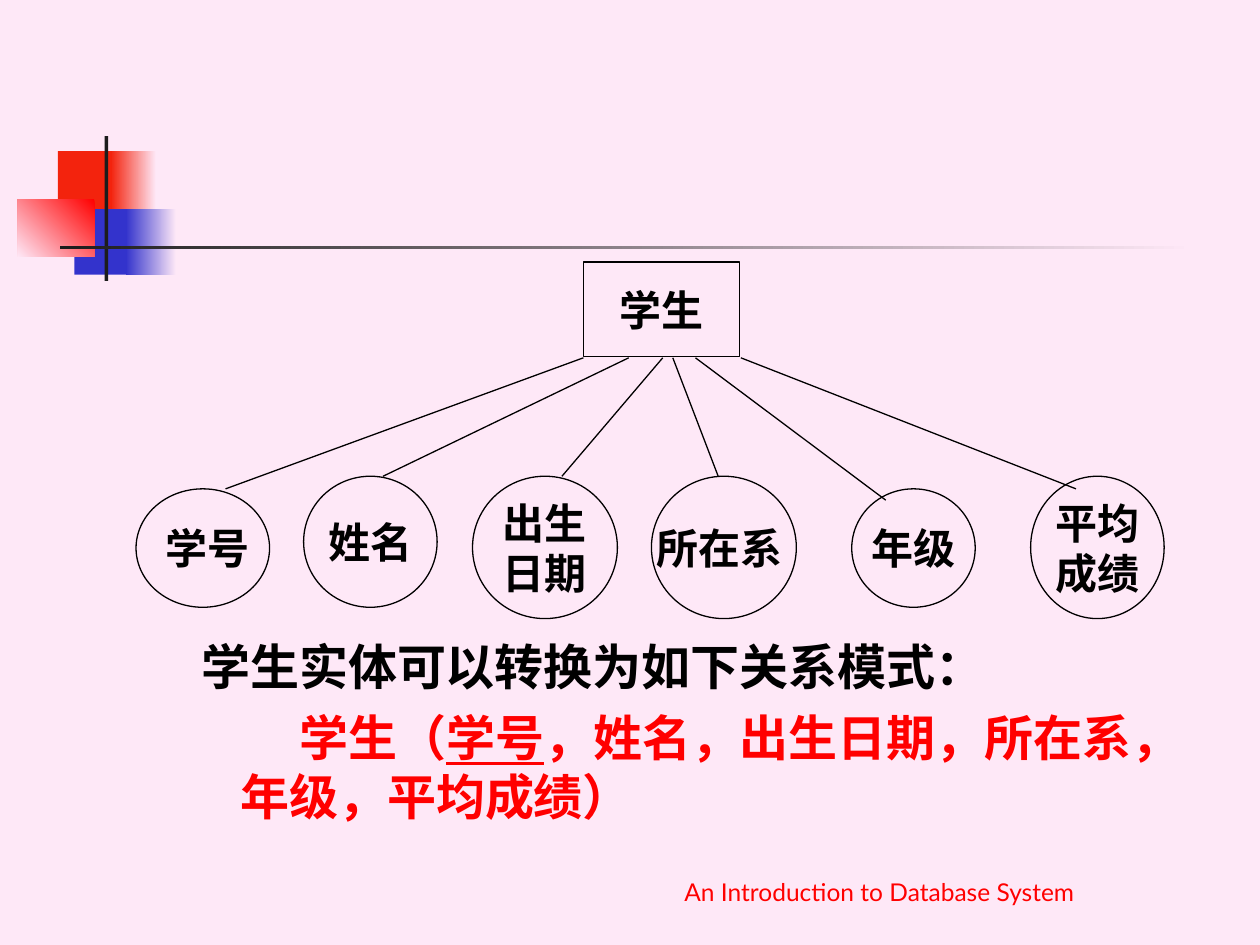
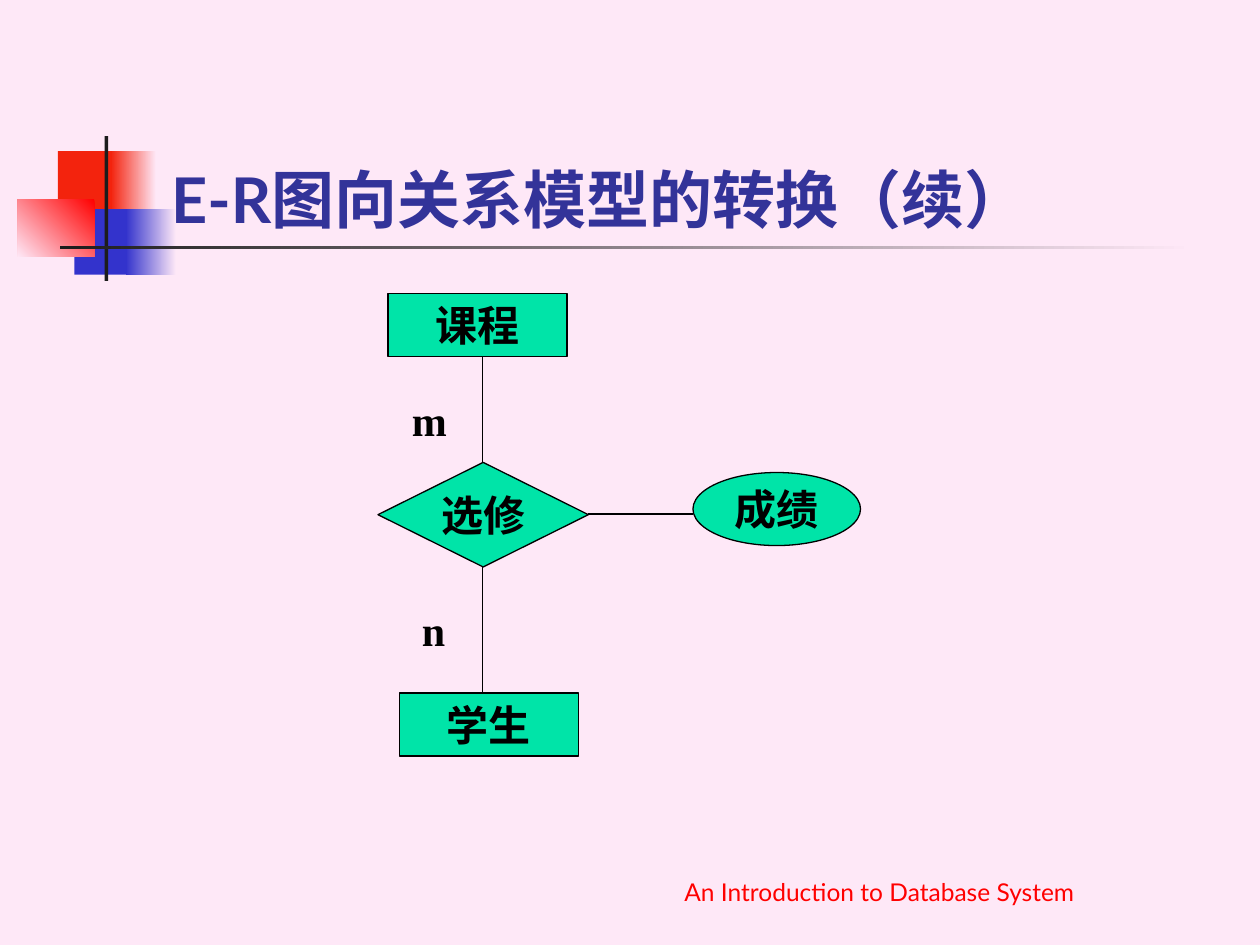
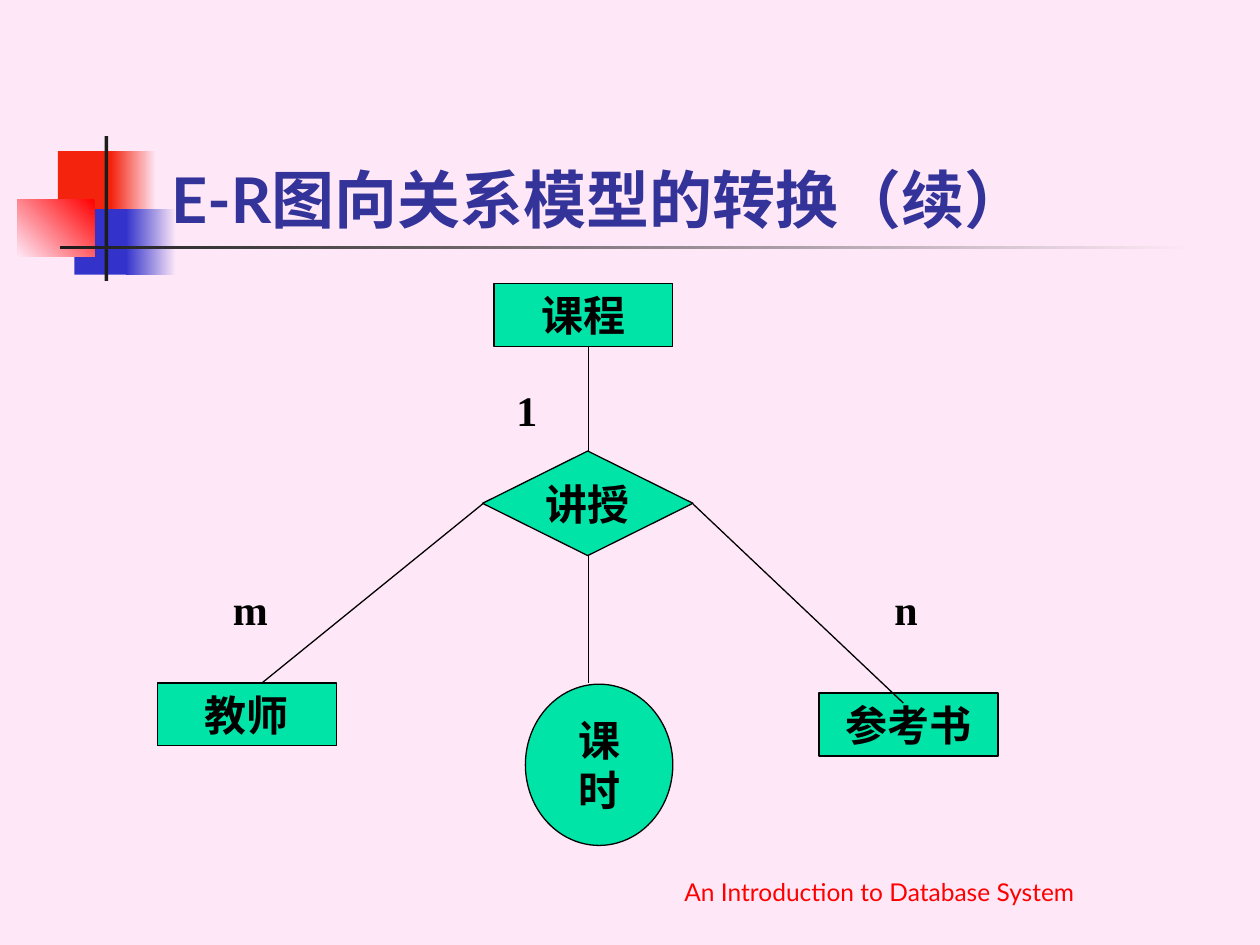
from lxml.etree import SubElement
from pptx import Presentation
from pptx.dml.color import RGBColor
from pptx.enum.shapes import MSO_CONNECTOR, MSO_SHAPE
from pptx.enum.text import MSO_ANCHOR, PP_ALIGN
from pptx.oxml.ns import qn
from pptx.util import Inches, Pt

HUE = {"page": "FEE8F7", "flame": "F3230D", "blue": "3333CC", "red": "FF0000",
       "dark": "1C1C1C", "title": "333399", "node": "00E4A8", "ink": "000000"}
SANS, SERIF = "Lato", "Times New Roman"
RECT, OVAL, GEM = MSO_SHAPE.RECTANGLE, MSO_SHAPE.OVAL, MSO_SHAPE.DIAMOND
BLOCK = (1.42, 0.5)
DIAMOND = (1.67, 0.83)
TAG = (0.42, 0.5)


def rgb(name):
    return RGBColor.from_string(HUE[name])


def shift(box, at):
    """Turn a place inside a box into a place on the slide."""
    return (box[0] + at[0], box[1] + at[1], *at[2:])


def add_run(para, text, size, font, hue="ink", bold=True, under=False):
    run = para.add_run()
    run.text = text
    face = run.font
    face.size, face.name, face.bold = Pt(size), font, bold
    face.color.rgb = rgb(hue)
    if under:
        face.underline = True


def add_box(slide, box, anchor=MSO_ANCHOR.TOP):
    """Add a wrapping text box and return its frame."""
    frame = slide.shapes.add_textbox(*map(Inches, box)).text_frame
    frame.word_wrap = True
    frame.vertical_anchor = anchor
    return frame


def add_form(slide, kind, box):
    form = slide.shapes.add_shape(kind, *map(Inches, box))
    form.shadow.inherit = False
    return form


def add_node(slide, kind, box, lines, fill=None, wrap=False):
    node = add_form(slide, kind, box)
    if fill:
        node.fill.solid()
        node.fill.fore_color.rgb = rgb(fill)
    else:
        node.fill.background()
    node.line.color.rgb = rgb("ink")
    node.line.width = Pt(0.75)
    frame = node.text_frame
    frame.word_wrap = wrap
    frame.vertical_anchor = MSO_ANCHOR.MIDDLE
    for i, text in enumerate(lines):
        para = frame.add_paragraph() if i else frame.paragraphs[0]
        para.alignment = PP_ALIGN.CENTER
        add_run(para, text, 24, SERIF)


def add_line(slide, start, end):
    line = slide.shapes.add_connector(
        MSO_CONNECTOR.STRAIGHT, *map(Inches, (*start, *end)))
    line.line.color.rgb = rgb("ink")
    line.line.width = Pt(0.75)
    SubElement(line._element.spPr, qn("a:effectLst"))


def add_band(slide, box):
    """Draw the coloured squares and the crossing bars."""
    parts = [
        ((0.32, 0.12, 0.48, 0.52), ["flame"], 0),
        ((0.74, 0.12, 0.36, 0.52), ["page", "flame"], 180),
        ((0.45, 0.58, 0.46, 0.52), ["blue"], 0),
        ((0.86, 0.58, 0.4, 0.52), ["page", "blue"], 180),
        ((0, 0.5, 0.61, 0.46), ["red", "page"], 225),
        ((0.69, 0, 0.03, 1.15), ["dark"], 0),
        ((0.34, 0.87, 9, 0.03), ["page", "dark"], 180),
    ]
    for at, hues, angle in parts:
        form = add_form(slide, RECT, shift(box, at))
        form.line.fill.background()
        if len(hues) == 1:
            form.fill.solid()
            form.fill.fore_color.rgb = rgb(hues[0])
            continue
        form.fill.gradient()
        form.fill.gradient_angle = angle
        for stop, hue in zip(form.fill.gradient_stops, hues):
            stop.color.rgb = rgb(hue)


def add_title(slide, box, text):
    frame = add_box(slide, box, MSO_ANCHOR.BOTTOM)
    add_run(frame.paragraphs[0], text, 36, SANS, "title")


def add_foot(slide, box):
    para = add_box(slide, box, MSO_ANCHOR.BOTTOM).paragraphs[0]
    para.alignment = PP_ALIGN.CENTER
    add_run(para, "An Introduction to Database System", 14, SANS, "red", False)


def add_tree(slide, box):
    """Draw the student entity with its ring of attributes."""
    add_node(slide, RECT, shift(box, (3.55, 0, 1.24, 0.75)), ["学生"])
    leaves = [  # place, lines, top of link, foot of link
        ((0, 1.8, 1.06, 0.94), [" 学号"], 3.55, (0.71, 1.8)),
        ((1.33, 1.7, 1.06, 1.04), ["姓名"], 3.91, (1.96, 1.7)),
        ((2.67, 1.7, 1.15, 1.13), ["出生", "日期"], 4.18, (3.38, 1.7)),
        ((4.09, 1.7, 1.15, 1.13), ["所在系 "], 4.26, (4.62, 1.7)),
        ((5.68, 1.8, 0.98, 0.94), ["年级"], 4.44, (5.95, 1.89)),
        ((7.1, 1.7, 1.06, 1.13), ["平均", "成绩"], 4.8, (7.46, 1.8)),
    ]
    for at, lines, top, foot in leaves:
        add_node(slide, OVAL, shift(box, at), lines)
        add_line(slide, shift(box, (top, 0.76)), shift(box, foot))


def add_note(slide, box):
    """Write the relation schema, with its key underlined."""
    frame = add_box(slide, box)
    head, body = frame.paragraphs[0], frame.add_paragraph()
    for para, indent in ((head, -0.31), (body, 0.47)):
        props = para._p.get_or_add_pPr()
        props.set("marL", str(Inches(0.81)))
        props.set("indent", str(Inches(indent)))
    body.space_before = Pt(7)
    add_run(head, "学生实体可以转换为如下关系模式：", 28, SANS)
    add_run(body, "学生（", 28, SANS, "red")
    add_run(body, "学号", 28, SANS, "red", under=True)
    add_run(body, "，姓名，出生日期，所在系， 年级，平均成绩）", 28, SANS, "red")


def add_graph(slide, box, nodes, tags, links):
    """Draw an E-R diagram: nodes, cardinality tags and links."""
    for kind, at, text in nodes:
        add_node(slide, kind, shift(box, at), [text], "node", kind == OVAL)
    for at, text in tags:
        frame = add_box(slide, shift(box, (*at, *TAG)))
        add_run(frame.paragraphs[0], text, 24, SERIF)
    for start, end in links:
        add_line(slide, shift(box, start), shift(box, end))


def add_page(deck, title=None):
    slide = deck.slides.add_slide(deck.slide_layouts[6])
    back = slide.background.fill
    back.solid()
    back.fore_color.rgb = rgb("page")
    add_band(slide, (0.14, 1.08))
    if title:
        add_title(slide, (1.26, 0.67, 8.52, 1.25), title)
    add_foot(slide, (4.37, 6.74, 5.22, 0.5))
    return slide


def main():
    deck = Presentation()
    deck.slide_width, deck.slide_height = Inches(10), Inches(7.5)
    title = "E-R图向关系模型的转换（续）"

    slide = add_page(deck)
    add_tree(slide, (1.08, 2.08))
    add_note(slide, (1, 5, 8.5, 1.82))

    add_graph(
        add_page(deck, title), (3, 2.33),
        nodes=[(RECT, (0.08, 0, *BLOCK), "课程"),
               (GEM, (0, 1.34, *DIAMOND), "选修"),
               (RECT, (0.17, 3.17, *BLOCK), "学生"),
               (OVAL, (2.5, 1.42, 1.33, 0.58), "成绩")],
        tags=[((0.17, 0.75), "m"), ((0.25, 2.42), "n")],
        links=[((0.83, 1.34), (0.83, 0.5)),
               ((0.83, 2.17), (0.83, 3.17)),
               ((1.67, 1.75), (2.5, 1.75))])

    add_graph(
        add_page(deck, title), (1.25, 2.25),
        nodes=[(RECT, (2.67, 0, *BLOCK), "课程"),
               (RECT, (0, 3.17, *BLOCK), "教师"),
               (RECT, (5.25, 3.25, *BLOCK), "参考书"),
               (OVAL, (2.92, 3.18, 1.17, 1.28), "课时"),
               (GEM, (2.58, 1.33, *DIAMOND), "讲授")],
        tags=[((2.75, 0.75), "1"), ((0.5, 2.33), "m"), ((5.75, 2.33), "n")],
        links=[((3.42, 1.33), (3.42, 0.5)),
               ((2.58, 1.75), (0.83, 3.17)),
               ((4.25, 1.75), (5.92, 3.33)),
               ((3.42, 2.16), (3.42, 3.17))])

    deck.save("out.pptx")


if __name__ == "__main__":
    main()
